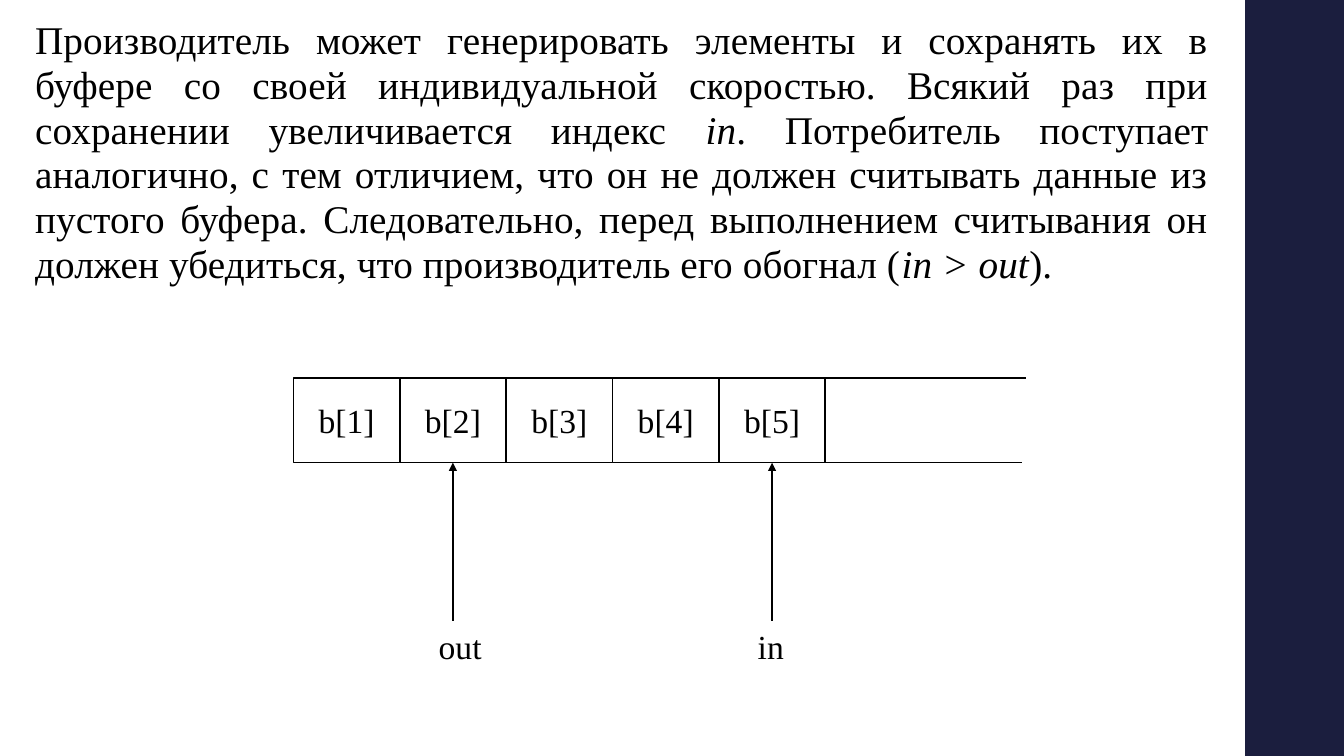
from pptx import Presentation
from pptx.dml.color import RGBColor
from pptx.enum.shapes import MSO_CONNECTOR, MSO_SHAPE
from pptx.enum.text import MSO_ANCHOR, PP_ALIGN
from pptx.oxml.ns import qn
from pptx.util import Inches, Pt
from lxml import etree

RECTANGLE, STRAIGHT = MSO_SHAPE.RECTANGLE, MSO_CONNECTOR.STRAIGHT
LEFT, CENTER, JUSTIFY = PP_ALIGN.LEFT, PP_ALIGN.CENTER, PP_ALIGN.JUSTIFY
BLACK, WHITE, NAVY = "000000", "FFFFFF", "1B1E3E"

WIDTH, HEIGHT = 13.33, 7.5
BAR_LEFT = 12.35
BUFFER_LEFT, BUFFER_TOP = 2.91, 3.75
CELL_WIDTH, CELL_HEIGHT = 1.055, 0.84
CELLS = 5
BUFFER_RIGHT = BUFFER_LEFT + CELLS * CELL_WIDTH
BUFFER_BOTTOM = BUFFER_TOP + CELL_HEIGHT
LABEL_TOP = 6.16

explanation_runs = [
    ("Производитель может генерировать элементы и сохранять их в буфере "
     "со своей индивидуальной скоростью. Всякий раз при сохранении "
     "увеличивается индекс ", False),
    ("in", True),
    (". Потребитель поступает аналогично, с тем отличием, что он не должен "
     "считывать данные из пустого буфера. Следовательно, перед выполнением "
     "считывания он должен убедиться, что производитель его обогнал (", False),
    ("in > out", True),
    (").", False),
]


def color(hex_code):
    return RGBColor.from_string(hex_code)


def write(paragraph, text, size, align, italic=False):
    """Append a formatted run to the paragraph and return it."""
    paragraph.alignment = align
    run = paragraph.add_run()
    run.text = text
    font_format = {"name": "Times New Roman", "size": Pt(size), "italic": italic}
    for attribute, value in font_format.items():
        setattr(run.font, attribute, value)
    run.font.color.rgb = color(BLACK)
    return run


prs = Presentation()
prs.slide_width, prs.slide_height = Inches(WIDTH), Inches(HEIGHT)
slide = prs.slides.add_slide(prs.slide_layouts[6])
shapes = slide.shapes

side_bar = shapes.add_shape(RECTANGLE, Inches(BAR_LEFT), 0,
                            Inches(WIDTH - BAR_LEFT), Inches(HEIGHT))
side_bar.shadow.inherit = False
side_bar.fill.solid()
side_bar.fill.fore_color.rgb = color(NAVY)
side_bar.line.fill.background()

explanation = shapes.add_textbox(Inches(0.25), Inches(0.14),
                                 Inches(11.84), Inches(3.03)).text_frame
explanation.word_wrap = True
paragraph = explanation.paragraphs[0]
paragraph.line_spacing = 0.95
paragraph.space_after = Pt(2)
for text, italic in explanation_runs:
    run = write(paragraph, text, 28, JUSTIFY, italic)
    run.font._element.set("spc", "10")

for index in range(CELLS):
    cell = shapes.add_shape(RECTANGLE,
                            Inches(BUFFER_LEFT + index * CELL_WIDTH), Inches(BUFFER_TOP),
                            Inches(CELL_WIDTH), Inches(CELL_HEIGHT))
    cell.shadow.inherit = False
    cell.fill.solid()
    cell.fill.fore_color.rgb = color(WHITE)
    cell.line.color.rgb = color(BLACK)
    cell.line.width = Pt(1.1)
    cell.text_frame.vertical_anchor = MSO_ANCHOR.MIDDLE
    write(cell.text_frame.paragraphs[0], f"b[{index + 1}]", 24, CENTER)

# Open end of the buffer, then the index pointers: start, end, width, arrowhead
lines = [
    ((BUFFER_RIGHT, BUFFER_TOP), (10.18, BUFFER_TOP), 1, False),
    ((BUFFER_RIGHT, BUFFER_BOTTOM), (10.14, BUFFER_BOTTOM), 1, False),
]
for pointer, cell_number in (("out", 2), ("in", 5)):
    center = BUFFER_LEFT + (cell_number - 0.5) * CELL_WIDTH
    lines.append(((center, LABEL_TOP), (center, BUFFER_BOTTOM), 1.5, True))
    label = shapes.add_textbox(Inches(center - 0.24), Inches(LABEL_TOP),
                               Inches(0.77), Inches(0.5)).text_frame
    label.word_wrap = True
    write(label.paragraphs[0], pointer, 24, LEFT)

for start, end, width, has_arrow in lines:
    line = shapes.add_connector(STRAIGHT, *map(Inches, start + end))
    line.line.color.rgb = color(BLACK)
    line.line.width = Pt(width)
    properties = line._element.spPr
    if has_arrow:
        etree.SubElement(properties.find(qn("a:ln")), qn("a:tailEnd"), type="triangle")
    etree.SubElement(properties, qn("a:effectLst"))

prs.save("out.pptx")
